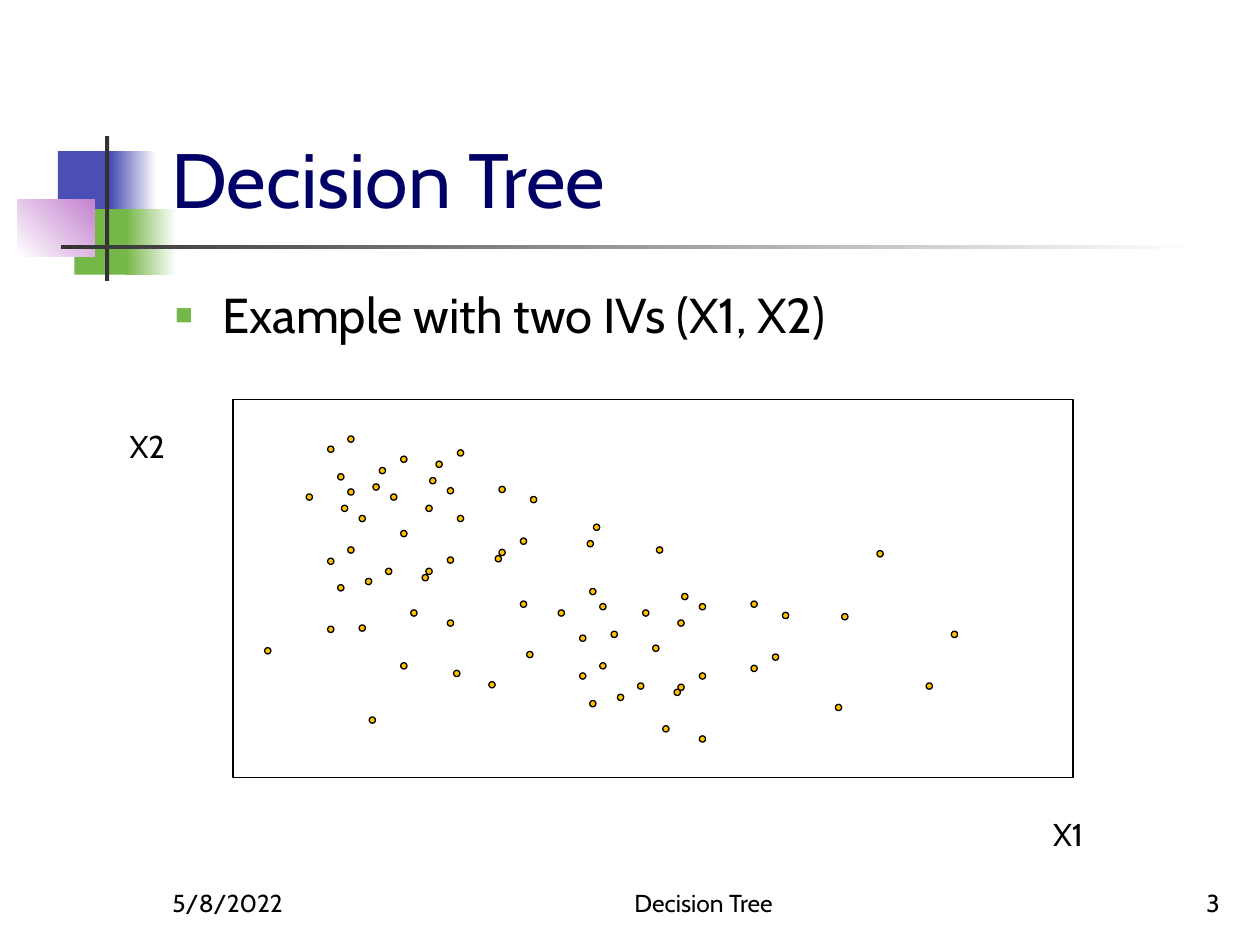
from lxml import etree
from pptx import Presentation
from pptx.dml.color import RGBColor
from pptx.enum import shapes, text
from pptx.oxml import ns
from pptx.util import Pt

COLORS = {"blue": "4B4EB5", "green": "76B749", "mauve": "C481CF", "dark": "333333",
          "white": "FFFFFF", "title": "000066", "black": "000000", "dot": "FFC000"}
LEFT, CENTER, RIGHT = text.PP_ALIGN.LEFT, text.PP_ALIGN.CENTER, text.PP_ALIGN.RIGHT
TOP, BOTTOM = text.MSO_ANCHOR.TOP, text.MSO_ANCHOR.BOTTOM
RECT, OVAL = shapes.MSO_SHAPE.RECTANGLE, shapes.MSO_SHAPE.OVAL


def add_box(kind, box, fills=(), line=None, angle=0):
    """Add a shape with no fill, one fill or a two-colour gradient."""
    sp = s.shapes.add_shape(kind, *map(Pt, box))
    sp.shadow.inherit = False
    if len(fills) == 2:
        sp.fill.gradient()
        sp.fill.gradient_angle = angle
        for stop, (place, name) in zip(sp.fill.gradient_stops, enumerate(fills)):
            stop.position = place
            stop.color.rgb = RGBColor.from_string(COLORS[name])
    elif fills:
        sp.fill.solid()
        sp.fill.fore_color.rgb = RGBColor.from_string(COLORS[fills[0]])
    else:
        sp.fill.background()
    if line:
        sp.line.color.rgb = RGBColor.from_string(COLORS[line])
        sp.line.width = Pt(0.75)
    else:
        sp.line.fill.background()


def set_text(sp, box, words, size, color="black", align=LEFT, anchor=TOP, wrap=True):
    """Place a text shape, write one paragraph and return it."""
    for name, value in zip(("left", "top", "width", "height"), box):
        setattr(sp, name, Pt(value))
    tf = sp.text_frame
    frame = {"word_wrap": wrap, "auto_size": text.MSO_AUTO_SIZE.NONE, "vertical_anchor": anchor}
    for name, value in frame.items():
        setattr(tf, name, value)
    p = tf.paragraphs[0]
    p.alignment = align
    r = p.add_run()
    r.text = words
    for name, value in {"size": Pt(size), "name": "Cabin", "bold": False}.items():
        setattr(r.font, name, value)
    r.font.color.rgb = RGBColor.from_string(COLORS[color])
    return p


prs = Presentation()
prs.slide_width, prs.slide_height = Pt(720), Pt(540)
s = prs.slides.add_slide(prs.slide_layouts[1])
title, body = s.placeholders

# Corner ornament and title rule
ornament = [
    ((33.12, 86.4, 34.56, 37.44), ["blue"], 0),
    ((63.36, 86.4, 25.92, 37.44), ["blue", "white"], 0),
    ((42.48, 119.52, 33.12, 37.44), ["green"], 0),
    ((72, 119.52, 28.8, 37.44), ["green", "white"], 0),
    ((10.08, 113.76, 43.92, 33.12), ["white", "mauve"], 45),
    ((60, 77.76, 2.4, 82.8), ["dark"], 0),
    ((34.8, 140.16, 648, 2.4), ["dark", "white"], 0),
]
for box, fills, angle in ornament:
    add_box(RECT, box, fills, angle=angle)

# Title and bullet, in front of the ornament
for sp in (title, body):
    s.shapes._spTree.append(sp._element)
set_text(title, (90.72, 16.56, 613.44, 115.2), "Decision Tree", 44, "title", anchor=BOTTOM)
p = set_text(body, (92.88, 159.12, 612, 324), "Example with two IVs (X1, X2)", 28)
p.space_before = Pt(5.6)
pPr = p._p.get_or_add_pPr()
pPr.set("marL", str(Pt(27)))
pPr.set("indent", str(Pt(-27)))
color = etree.SubElement(pPr, ns.qn("a:buClr"))
etree.SubElement(color, ns.qn("a:srgbClr"), val=COLORS["green"])
etree.SubElement(pPr, ns.qn("a:buSzPct"), val="60000")
etree.SubElement(pPr, ns.qn("a:buChar"), char="■")

# Footer and axis labels
labels = [
    ((91.44, 491.76, 149.76, 36), "5/8/2022", 14, LEFT, BOTTOM, True),
    ((288, 491.76, 228.24, 36), "Decision Tree", 14, CENTER, BOTTOM, True),
    ((554.4, 491.76, 149.76, 36), "3", 14, RIGHT, BOTTOM, True),
    ((594.72, 462.24, 35.28, 28.8), "X1", 18, LEFT, TOP, False),
    ((66.96, 240.48, 35.28, 28.8), "X2", 18, LEFT, TOP, False),
]
for box, words, size, align, anchor, wrap in labels:
    sp = s.shapes.add_textbox(*map(Pt, box))
    set_text(sp, box, words, size, align=align, anchor=anchor, wrap=wrap)

# Scatter plot: dot positions are in steps of 0.72 pt
add_box(RECT, (133.2, 228.24, 480, 216), line="black")
STEP, DOT = 0.72, 3.6
dots = [
    (260, 354), (276, 346), (268, 376), (296, 384), (301, 371), (318, 362), (310, 392),
    (338, 401), (260, 443), (276, 434), (268, 464), (341, 379), (346, 366), (363, 357),
    (355, 387), (260, 497), (243, 392), (271, 401), (276, 388), (285, 409), (338, 451),
    (355, 442), (335, 456), (285, 496), (290, 459), (306, 451), (326, 484), (355, 492),
    (293, 569), (318, 526), (360, 532), (388, 541), (210, 514), (363, 409), (318, 421),
    (396, 386), (396, 436), (413, 427), (393, 441), (413, 477), (418, 517), (421, 394),
    (466, 429), (471, 416), (668, 487), (696, 437), (468, 467), (521, 434), (510, 484),
    (538, 492), (460, 534), (476, 526), (468, 556), (541, 471), (555, 479), (443, 484),
    (460, 504), (476, 479), (485, 501), (538, 543), (555, 534), (535, 547), (490, 551),
    (506, 542), (526, 576), (555, 584), (755, 501), (518, 512), (596, 477), (596, 528),
    (613, 519), (663, 559), (735, 542), (621, 486),
]
for x, y in dots:
    add_box(OVAL, (x * STEP, y * STEP, DOT, DOT), ["dot"], "black")

prs.save("out.pptx")
